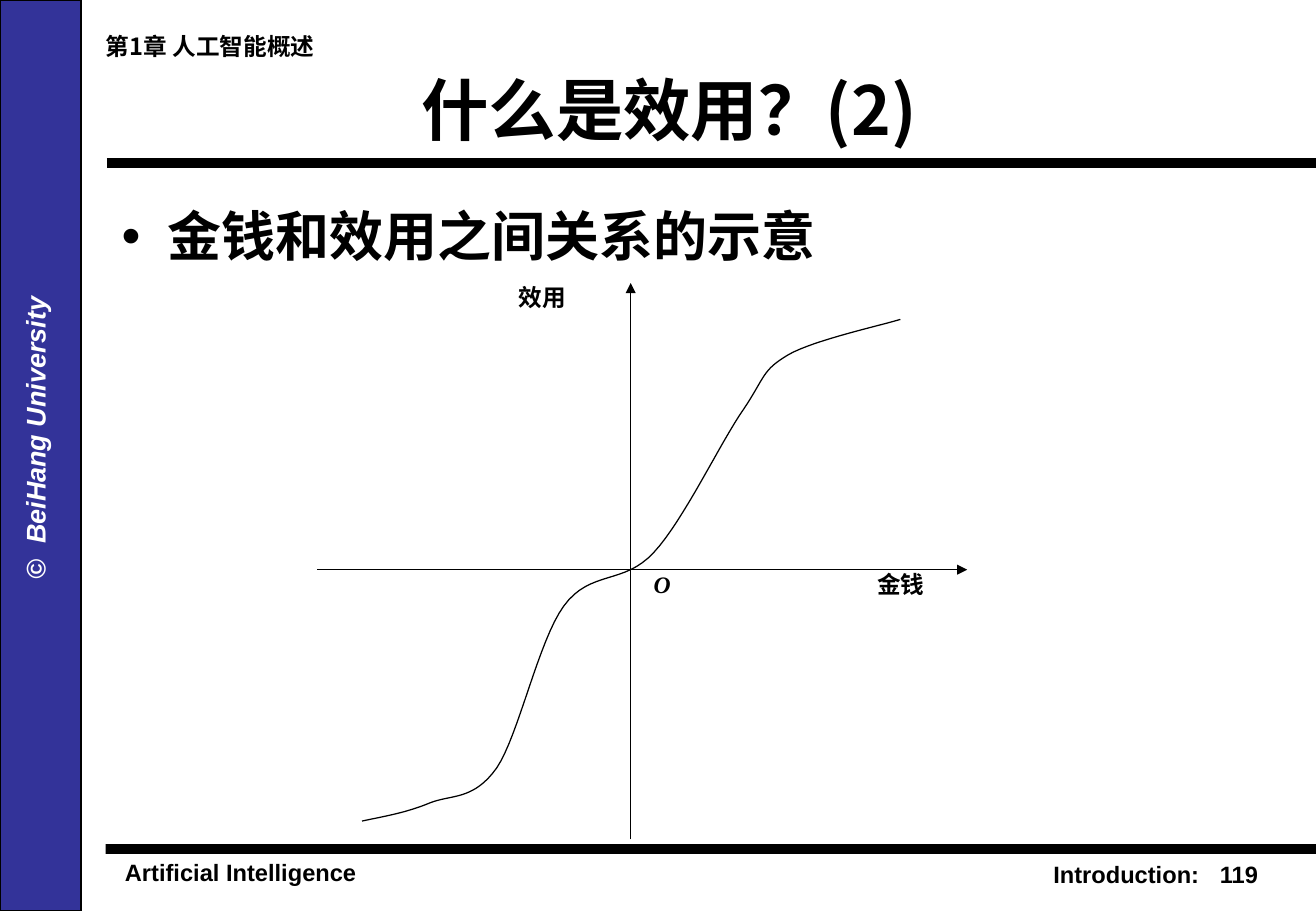
import dataclasses

import lxml.etree
import pptx
import pptx.dml.color
import pptx.enum.shapes
import pptx.enum.text
import pptx.oxml.ns
import pptx.util

Inches = pptx.util.Inches
Pt = pptx.util.Pt
ALIGN = pptx.enum.text.PP_ALIGN
ANCHOR = pptx.enum.text.MSO_ANCHOR
RECT = pptx.enum.shapes.MSO_SHAPE.RECTANGLE


@dataclasses.dataclass(frozen=True)
class Theme:
    ink: str = "000000"
    paper: str = "FFFFFF"
    band: str = "333399"
    sans: str = "Arial"
    serif: str = "Times New Roman"
    han: str = "Noto Sans CJK SC"
    title: int = 40
    body: int = 32
    side: int = 16
    small: int = 14
    rule: float = 6
    thin: float = 0.75


THEME = Theme()

# Utility curve: a start point, then two controls and an end per segment.
START = (2.98, 6.76)
CURVE = [
    ((3.17, 6.72), (3.35, 6.69), (3.54, 6.61)),
    ((3.72, 6.54), (3.9, 6.59), (4.09, 6.32)),
    ((4.27, 6.05), (4.43, 5.28), (4.64, 4.99)),
    ((4.86, 4.69), (5.13, 4.82), (5.38, 4.55)),
    ((5.63, 4.28), (5.93, 3.64), (6.12, 3.37)),
    ((6.3, 3.1), (6.27, 3.05), (6.49, 2.92)),
    ((6.7, 2.8), (7.25, 2.68), (7.41, 2.63)),
]
STEPS = 16


def color(code):
    return pptx.dml.color.RGBColor.from_string(code)


def child(parent, tag, **attrs):
    node = lxml.etree.SubElement(parent, pptx.oxml.ns.qn(tag))
    for key, value in attrs.items():
        node.set(key, str(value))
    return node


def write(frame, text, size=THEME.small, font=THEME.sans, ink=THEME.ink,
          italic=False, align=ALIGN.LEFT, anchor=ANCHOR.TOP, wrap=True):
    """Append a bold run to the first paragraph of a frame."""
    frame.word_wrap = wrap
    frame.auto_size = pptx.enum.text.MSO_AUTO_SIZE.NONE
    frame.vertical_anchor = anchor
    para = frame.paragraphs[0]
    para.alignment = align
    para.space_before = Pt(0)
    run = para.add_run()
    run.text = text
    run.font.size = Pt(size)
    run.font.bold = True
    run.font.italic = italic
    run.font.color.rgb = color(ink)
    run.font.name = font
    child(run.font._element, "a:ea", typeface=THEME.han)
    return para


def place(shape, left, top, width, height):
    shape.left, shape.top = Inches(left), Inches(top)
    shape.width, shape.height = Inches(width), Inches(height)


def label(shapes, box, text, tab=None, turn=0, **form):
    """Add a text box, with an optional tab stop and rotation."""
    shape = shapes.add_textbox(*map(Inches, box))
    shape.rotation = turn
    para = write(shape.text_frame, text, **form)
    if tab:
        stops = child(para._p.get_or_add_pPr(), "a:tabLst")
        child(stops, "a:tab", pos=Inches(tab), algn="l")


def block(shapes, box, fill, edge=None):
    shape = shapes.add_shape(RECT, *map(Inches, box))
    shape.shadow.inherit = False
    shape.fill.solid()
    shape.fill.fore_color.rgb = color(fill)
    if edge:
        shape.line.color.rgb = color(edge)
        shape.line.width = Pt(1)
    else:
        shape.line.fill.background()
    return shape


def tag(shapes, left, top, text, **form):
    """Add a white label for the axes, without margins."""
    frame = block(shapes, (left, top, 0.74, 0.44), THEME.paper).text_frame
    frame.margin_left = frame.margin_right = 0
    frame.margin_top = frame.margin_bottom = 0
    write(frame, text, **form)


def rule(shapes, start, end, width, arrow=False):
    line = shapes.add_connector(pptx.enum.shapes.MSO_CONNECTOR.STRAIGHT,
                                *map(Inches, start + end))
    line.line.color.rgb = color(THEME.ink)
    line.line.width = Pt(width)
    props = line.element.spPr
    if arrow:
        child(props.find(pptx.oxml.ns.qn("a:ln")), "a:tailEnd", type="triangle")
    child(props, "a:effectLst")


def bezier(knots, t):
    weights = ((1 - t) ** 3, 3 * t * (1 - t) ** 2, 3 * t * t * (1 - t), t ** 3)
    return tuple(Inches(sum(w * k[axis] for w, k in zip(weights, knots)))
                 for axis in (0, 1))


def curve(shapes):
    points, last = [], START
    for part in CURVE:
        points += [bezier((last, *part), i / STEPS) for i in range(1, STEPS + 1)]
        last = part[-1]
    pen = shapes.build_freeform(*map(Inches, START))
    pen.add_line_segments(points, close=False)
    shape = pen.convert_to_shape()
    shape.shadow.inherit = False
    shape.fill.background()
    shape.line.color.rgb = color(THEME.ink)
    shape.line.width = Pt(THEME.thin)


def frame(shapes):
    """Add the side band, rules, header and footer."""
    label(shapes, (0.93, 7.01, 2.17, 0.33), "Artificial Intelligence", wrap=False)
    label(shapes, (8.57, 7.03, 2, 0.33), "Introduction:\t119", tab=1.37)
    block(shapes, (0.87, 6.95, 9.96, 0.08), THEME.ink)
    block(shapes, (0, 0, 0.67, 7.5), THEME.band, THEME.ink)
    rule(shapes, (0.88, 1.34), (10.83, 1.34), THEME.rule)
    label(shapes, (-1.06, 3.33, 2.7, 0.37), "©\tBeiHang University", tab=0.29,
          turn=270, size=THEME.side, ink=THEME.paper, italic=True)
    label(shapes, (0, 0.21, 3.46, 0.34), "第1章 人工智能概述",
          font=THEME.han, align=ALIGN.CENTER)


def heads(slide):
    """Fill the title and the bullet list."""
    title, body = slide.shapes.title, slide.placeholders[1]
    place(title, 0.9, 0.46, 9.21, 0.87)
    for text, font in (("什么是效用？", THEME.serif), ("(2)", THEME.han)):
        write(title.text_frame, text, size=THEME.title, font=font,
              align=ALIGN.CENTER, anchor=ANCHOR.MIDDLE)
    place(body, 0.9, 1.62, 9.21, 5.12)
    para = write(body.text_frame, "金钱和效用之间关系的示意",
                 size=THEME.body, font=THEME.serif)
    props = para._p.get_or_add_pPr()
    props.set("marL", str(Inches(0.38)))
    props.set("indent", str(Inches(-0.38)))
    child(props, "a:buChar", char="•")


def graph(shapes):
    """Draw utility against money."""
    tag(shapes, 5.38, 4.69, "O", font=THEME.serif, italic=True)
    rule(shapes, (5.19, 6.91), (5.19, 2.33), THEME.thin, arrow=True)
    curve(shapes)
    tag(shapes, 4.27, 2.33, "效用")
    tag(shapes, 7.22, 4.69, "金钱")
    rule(shapes, (2.61, 4.69), (7.96, 4.69), THEME.thin, arrow=True)


def main():
    deck = pptx.Presentation()
    deck.slide_width, deck.slide_height = Inches(10.83), Inches(7.5)
    slide = deck.slides.add_slide(deck.slide_layouts[1])
    frame(slide.shapes)
    heads(slide)
    graph(slide.shapes.add_group_shape().shapes)
    deck.save("out.pptx")


if __name__ == "__main__":
    main()
